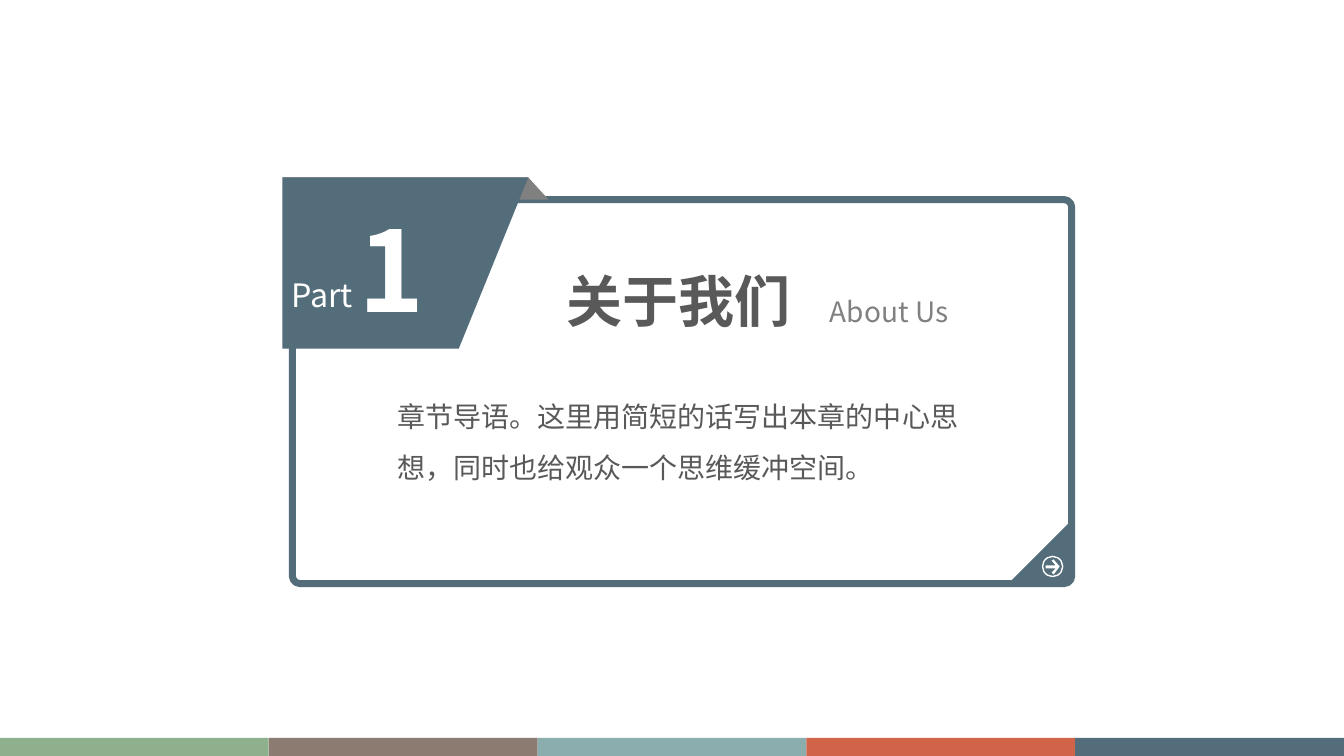
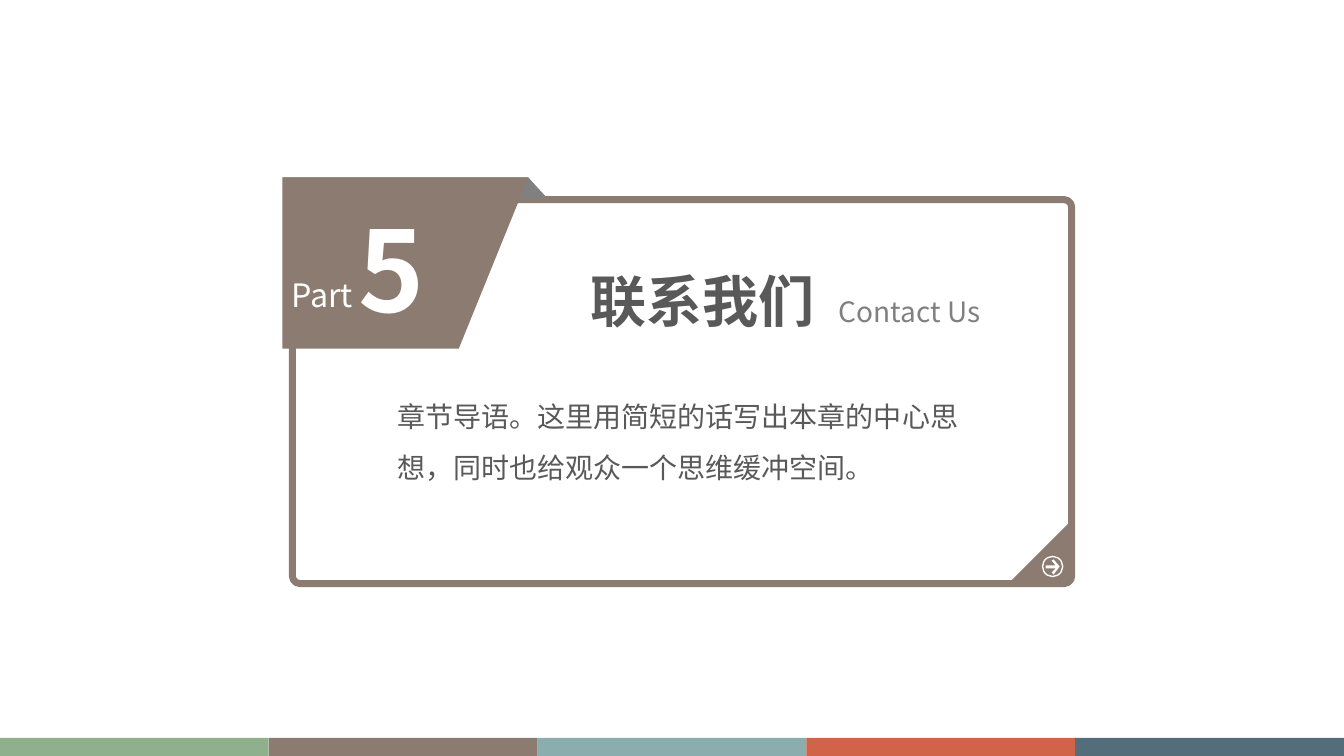
from dataclasses import dataclass

from lxml.etree import SubElement
from pptx import Presentation
from pptx.dml.color import RGBColor
from pptx.enum.shapes import MSO_SHAPE
from pptx.enum.text import MSO_ANCHOR, MSO_AUTO_SIZE, PP_ALIGN
from pptx.oxml.ns import qn
from pptx.shapes.base import BaseShape
from pptx.slide import Slide
from pptx.text.text import Font, TextFrame, _Paragraph
from pptx.util import Inches, Pt

COLORS = {
    "green": "8FB08C",
    "brown": "8C7B70",
    "teal": "8CADAE",
    "orange": "D16349",
    "slate": "546D7A",
    "text": "595959",
    "grey": "808080",
    "white": "FFFFFF",
}
BAND_COLORS = ("green", "brown", "teal", "orange", "slate")
FONT = "Noto Sans CJK SC"
TITLE_ONLY = 5
SLIDE_WIDTH, SLIDE_HEIGHT = 13.33, 7.5
BAND_HEIGHT = 0.18
INTRO = "章节导语。这里用简短的话写出本章的中心思想，同时也给观众一个思维缓冲空间。"

Points = tuple[tuple[float, float], ...]
FOLD: Points = ((3, 1.98), (5.44, 1.98), (5.24, 1.76), (2.8, 1.76))
FLAG: Points = ((5.24, 1.76), (2.8, 1.76), (2.8, 3.46), (4.55, 3.46))
CORNER: Points = ((10.63, 5.16), (10.63, 5.71), (10.61, 5.77), (10.56, 5.79), (10, 5.79))
ARROW: Points = (
    (10.45, 5.7), (10.43, 5.68), (10.47, 5.64), (10.37, 5.64), (10.37, 5.61),
    (10.47, 5.61), (10.43, 5.56), (10.45, 5.55), (10.51, 5.62),
)


@dataclass(frozen=True)
class Section:
    number: str
    heading: str
    subtitle: str
    color: str
    title_left: float
    subtitle_offset: float


@dataclass(frozen=True)
class TextStyle:
    size: float
    color: str
    bold: bool = False


@dataclass(frozen=True)
class Label:
    text: str
    area: tuple[float, float, float, float]
    style: TextStyle
    line_spacing: float = 1.0
    inset: bool = True
    wrap: bool = True


SECTIONS = (
    Section("1", "关于我们", "About Us", "slate", 5.52, 2.61),
    Section("5", "联系我们", "Contact Us", "brown", 5.76, 2.46),
)
HEADING_STYLE = TextStyle(40, "text", True)
SUBTITLE_STYLE = TextStyle(20, "grey")


def rgb(name: str) -> RGBColor:
    return RGBColor.from_string(COLORS[name])


def paint(shape: BaseShape, color: str) -> None:
    shape.shadow.inherit = False
    shape.fill.solid()
    shape.fill.fore_color.rgb = rgb(color)
    shape.line.fill.background()


def outline(shape: BaseShape, color: str, width: float) -> None:
    shape.shadow.inherit = False
    shape.fill.background()
    shape.line.color.rgb = rgb(color)
    shape.line.width = Pt(width)


def apply_style(font: Font, style: TextStyle) -> None:
    font.size = Pt(style.size)
    font.bold = style.bold
    font.color.rgb = rgb(style.color)


def set_typeface(para: _Paragraph) -> None:
    para.font.name = FONT
    properties = para._p.pPr.find(qn("a:defRPr"))
    SubElement(properties, qn("a:ea"), typeface=FONT)


def prepare_frame(frame: TextFrame, wrap: bool = True) -> None:
    frame.word_wrap = wrap
    frame.auto_size = MSO_AUTO_SIZE.SHAPE_TO_FIT_TEXT
    frame.vertical_anchor = MSO_ANCHOR.TOP


def add_polygon(page: Slide, points: Points, color: str) -> None:
    corners = [(Inches(x), Inches(y)) for x, y in points]
    builder = page.shapes.build_freeform(*corners[0], scale=1.0)
    builder.add_line_segments(corners[1:], close=True)
    paint(builder.convert_to_shape(), color)


def add_label(page: Slide, label: Label) -> None:
    box = page.shapes.add_textbox(*map(Inches, label.area))
    frame = box.text_frame
    prepare_frame(frame, label.wrap)
    if not label.inset:
        frame.margin_left = frame.margin_right = Inches(0)
        frame.margin_top = frame.margin_bottom = Inches(0)
    para = frame.paragraphs[0]
    para.text = label.text
    para.line_spacing = label.line_spacing
    apply_style(para.font, label.style)
    set_typeface(para)


def add_title(page: Slide, section: Section) -> None:
    title = page.shapes.title
    title.left, title.top = Inches(section.title_left), Inches(2.59)
    title.width, title.height = Inches(4.6), Inches(0.77)
    prepare_frame(title.text_frame)
    para = title.text_frame.paragraphs[0]
    para.alignment = PP_ALIGN.LEFT
    tabs = SubElement(para._p.get_or_add_pPr(), qn("a:tabLst"))
    SubElement(tabs, qn("a:tab"), pos=str(Inches(section.subtitle_offset)), algn="l")
    set_typeface(para)
    parts = ((section.heading + "\t", HEADING_STYLE), (section.subtitle, SUBTITLE_STYLE))
    for text, style in parts:
        span = para.add_run()
        span.text = text
        apply_style(span.font, style)


def add_card(page: Slide, color: str) -> None:
    frame = page.shapes.add_shape(
        MSO_SHAPE.ROUNDED_RECTANGLE, Inches(2.9), Inches(1.98), Inches(7.73), Inches(3.81)
    )
    frame.adjustments[0] = 0.02
    outline(frame, color, 5)
    add_polygon(page, FOLD, "grey")
    add_polygon(page, FLAG, color)
    add_polygon(page, CORNER, color)
    ring = page.shapes.add_shape(
        MSO_SHAPE.OVAL, Inches(10.34), Inches(5.52), Inches(0.2), Inches(0.2)
    )
    outline(ring, "white", 1)
    add_polygon(page, ARROW, "white")


def add_bands(page: Slide) -> None:
    group = page.shapes.add_group_shape()
    width = SLIDE_WIDTH / len(BAND_COLORS)
    for index, color in enumerate(BAND_COLORS):
        band = group.shapes.add_shape(
            MSO_SHAPE.RECTANGLE,
            Inches(index * width),
            Inches(SLIDE_HEIGHT - BAND_HEIGHT),
            Inches(width),
            Inches(BAND_HEIGHT),
        )
        paint(band, color)


def add_section(page: Slide, section: Section) -> None:
    add_card(page, section.color)
    add_title(page, section)
    labels = (
        Label(section.number, (3.46, 1.94, 0.76, 1.45), TextStyle(80, "white", True)),
        Label("Part", (2.89, 2.73, 0.62, 0.39), TextStyle(23, "white"), inset=False, wrap=False),
        Label(INTRO, (3.84, 3.75, 5.81, 1.05), TextStyle(20, "text"), line_spacing=1.5),
    )
    for label in labels:
        add_label(page, label)
    add_bands(page)


def main() -> None:
    deck = Presentation()
    deck.slide_width, deck.slide_height = Inches(SLIDE_WIDTH), Inches(SLIDE_HEIGHT)
    for section in SECTIONS:
        add_section(deck.slides.add_slide(deck.slide_layouts[TITLE_ONLY]), section)
    deck.save("out.pptx")


if __name__ == "__main__":
    main()
